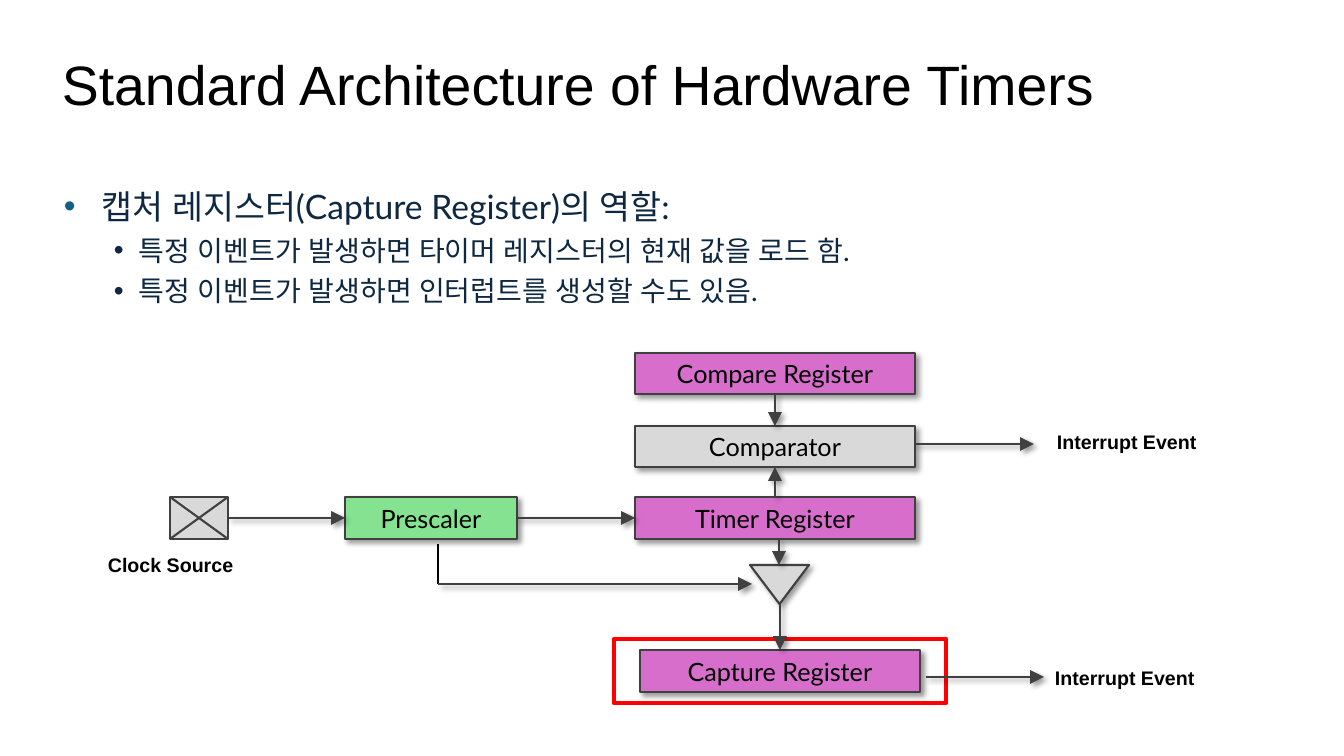
"""Draw the slide on the architecture of hardware timers."""
from dataclasses import dataclass
from typing import Any, Optional

from lxml.etree import SubElement
from pptx import Presentation
from pptx.dml.color import RGBColor
from pptx.enum.shapes import MSO_CONNECTOR, MSO_SHAPE
from pptx.enum.text import MSO_ANCHOR, PP_ALIGN
from pptx.oxml.ns import qn
from pptx.util import Emu, Pt

SCALE = 914400 / 100.8
BLACK, GREY, INK, NAVY = "000000", "D9D9D9", "404040", "0E2841"
PINK, GREEN, RED, TEAL = "D86ECC", "84E291", "FF0000", "156082"
TOP, LEFT, BOTTOM, RIGHT = range(4)


@dataclass(frozen=True)
class Box:
    key: str
    x: int
    y: int
    w: int
    h: int = 42
    fill: Optional[str] = PINK
    text: str = ""
    kind: MSO_SHAPE = MSO_SHAPE.RECTANGLE
    turn: int = 0
    line: str = INK
    width: float = 1.5
    shade: bool = True


@dataclass(frozen=True)
class Link:
    x1: int
    y1: int
    x2: int
    y2: int
    start: Optional[tuple[str, int]] = None
    end: Optional[tuple[str, int]] = None
    line: str = INK
    arrow: bool = True


@dataclass(frozen=True)
class Label:
    x: int
    y: int
    w: int
    text: str


@dataclass(frozen=True)
class Point:
    text: str
    size: int
    left: int
    hang: int
    gap: int
    dot: str


BOXES = [
    Box("clock", 170, 497, 58, fill=GREY, shade=False),
    Box("timer", 635, 497, 280, text="Timer Register"),
    Box("compare", 635, 353, 280, 41, text="Compare Register"),
    Box("scaler", 345, 497, 172, fill=GREEN, text="Prescaler"),
    Box("match", 635, 426, 280, 41, GREY, "Comparator"),
    Box("frame", 614, 639, 332, 64, None, line=RED, width=3, shade=False),
    Box("capture", 640, 650, 280, text="Capture Register"),
    Box("gate", 750, 565, 59, 39, GREY, kind=MSO_SHAPE.ISOSCELES_TRIANGLE, turn=180),
]
LINKS = [
    Link(170, 497, 228, 539, arrow=False),
    Link(228, 497, 170, 539, arrow=False),
    Link(228, 518, 345, 518, ("clock", RIGHT), ("scaler", LEFT)),
    Link(517, 518, 635, 518, ("scaler", RIGHT), ("timer", LEFT)),
    Link(775, 497, 775, 467, ("timer", TOP), ("match", BOTTOM)),
    Link(775, 394, 775, 426, ("compare", BOTTOM), ("match", TOP)),
    Link(915, 444, 1034, 444),
    Link(779, 539, 779, 565),
    Link(780, 604, 780, 650, end=("capture", TOP)),
    Link(926, 677, 1044, 677),
    Link(438, 544, 438, 584, line=BLACK, arrow=False),
    Link(438, 584, 752, 584),
]
LABELS = [
    Label(1047, 425, 228, "Interrupt Event"),
    Label(98, 548, 202, "Clock Source"),
    Label(1045, 661, 228, "Interrupt Event"),
]
POINTS = [
    Point("캡처 레지스터(Capture Register)의 역할:", 24, 38, 38, 0, TEAL),
    Point("특정 이벤트가 발생하면 타이머 레지스터의 현재 값을 로드 함.", 20, 75, 25, 5, NAVY),
    Point("특정 이벤트가 발생하면 인터럽트를 생성할 수도 있음.", 20, 75, 25, 5, NAVY),
]


def px(n: int) -> Emu:
    return Emu(round(n * SCALE))


def tint(code: str) -> RGBColor:
    return RGBColor.from_string(code)


def add_run(para: Any, text: str, size: float, face: str, color: str, bold: bool = False) -> None:
    run = para.add_run()
    run.text = text
    run.font.size = Pt(size)
    run.font.name = face
    run.font.bold = bold
    run.font.color.rgb = tint(color)
    SubElement(run._r.get_or_add_rPr(), qn("a:ea"), typeface=face)


def add_glow(item: Any, show: bool) -> None:
    props = item._element.spPr
    fx = props.find(qn("a:effectLst"))
    if fx is None:
        fx = SubElement(props, qn("a:effectLst"))
    if show:
        cast = SubElement(fx, qn("a:outerShdw"), blurRad=str(Pt(4)), dist=str(Pt(3)),
                          dir="2700000", algn="tl", rotWithShape="0")
        color = SubElement(cast, qn("a:srgbClr"), val=BLACK)
        SubElement(color, qn("a:alpha"), val="40000")


def add_box(shapes: Any, box: Box) -> Any:
    item = shapes.add_shape(box.kind, px(box.x), px(box.y), px(box.w), px(box.h))
    if box.turn:
        item.rotation = box.turn
    item.line.color.rgb = tint(box.line)
    item.line.width = Pt(box.width)
    if box.fill:
        item.fill.solid()
        item.fill.fore_color.rgb = tint(box.fill)
    else:
        item.fill.background()
    item.shadow.inherit = False
    add_glow(item, box.shade)
    if box.text:
        frame = item.text_frame
        frame.word_wrap = False
        frame.vertical_anchor = MSO_ANCHOR.MIDDLE
        frame.paragraphs[0].alignment = PP_ALIGN.CENTER
        add_run(frame.paragraphs[0], box.text, 18, "Lato", BLACK)
    return item


def add_link(shapes: Any, link: Link, made: dict[str, Any]) -> None:
    item = shapes.add_connector(MSO_CONNECTOR.STRAIGHT, px(link.x1), px(link.y1),
                                px(link.x2), px(link.y2))
    if link.start:
        item.begin_connect(made[link.start[0]], link.start[1])
    if link.end:
        item.end_connect(made[link.end[0]], link.end[1])
    item.line.color.rgb = tint(link.line)
    item.line.width = Pt(1.5)
    if link.arrow:
        SubElement(item._element.spPr.find(qn("a:ln")), qn("a:tailEnd"),
                   type="triangle", w="lg", len="lg")
    add_glow(item, link.arrow)


def add_text(shapes: Any, x: int, y: int, w: int, h: int) -> Any:
    frame = shapes.add_textbox(px(x), px(y), px(w), px(h)).text_frame
    frame.word_wrap = True
    return frame


def add_point(para: Any, point: Point) -> None:
    props = para._p.get_or_add_pPr()
    props.set("marL", str(px(point.left)))
    props.set("indent", str(-px(point.hang)))
    para.space_before = Pt(point.gap)
    color = SubElement(props, qn("a:buClr"))
    SubElement(color, qn("a:srgbClr"), val=point.dot)
    SubElement(props, qn("a:buFont"), typeface="Arial")
    SubElement(props, qn("a:buChar"), char="•")
    add_run(para, point.text, point.size, "Lato", NAVY)


def main() -> None:
    deck = Presentation()
    deck.slide_width, deck.slide_height = px(1344), px(756)
    shapes = deck.slides.add_slide(deck.slide_layouts[6]).shapes

    title = add_text(shapes, 52, 51, 1238, 73)
    title.vertical_anchor = MSO_ANCHOR.MIDDLE
    title.paragraphs[0].line_spacing = 0.9
    add_run(title.paragraphs[0], "Standard Architecture of Hardware Timers", 39.6, "Arial", BLACK)

    body = add_text(shapes, 54, 181, 1233, 150)
    for i, point in enumerate(POINTS):
        add_point(body.add_paragraph() if i else body.paragraphs[0], point)

    made = {box.key: add_box(shapes, box) for box in BOXES}
    for link in LINKS:
        add_link(shapes, link, made)
    for label in LABELS:
        frame = add_text(shapes, label.x, label.y, label.w, 34)
        add_run(frame.paragraphs[0], label.text, 14, "Arial", BLACK, True)
    deck.save("out.pptx")


if __name__ == "__main__":
    main()
